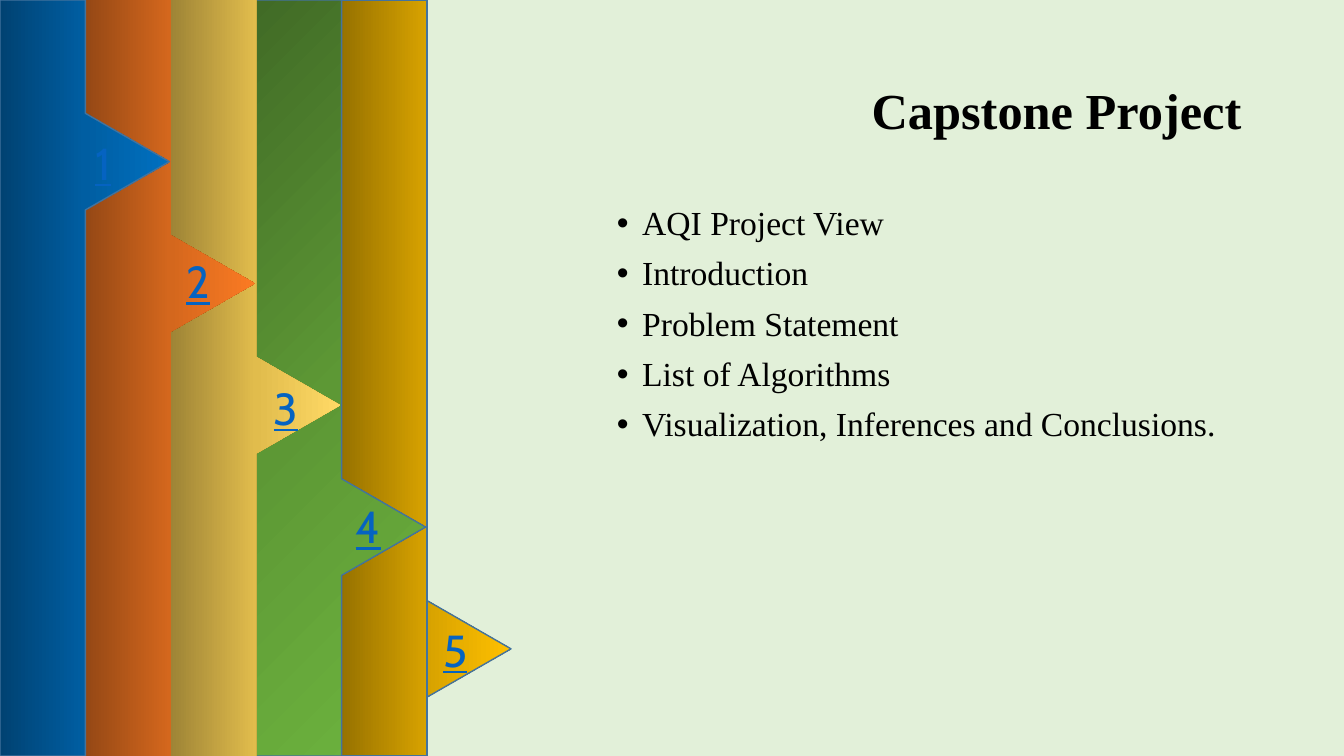
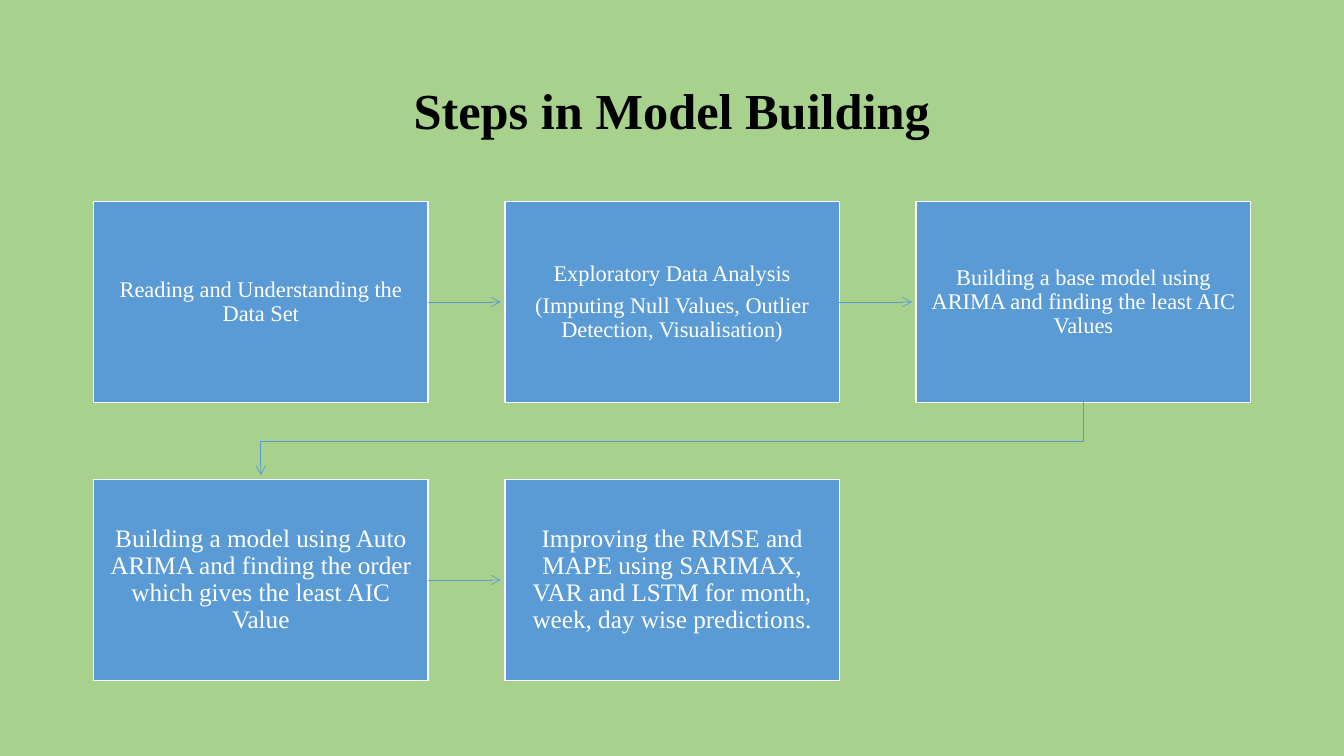
from lxml import etree
from pptx import Presentation
from pptx import util as u
from pptx.dml import color
from pptx.enum import shapes, text
from pptx.oxml import ns

SERIF, DIGIT_FONT = "Times New Roman", "Cabin"
BLACK, WHITE, LINK_BLUE = "000000", "FFFFFF", "0563C1"
BOX_BLUE, OUTLINE = "5B9BD5", "43739E"
ALIGN = text.PP_ALIGN

WIDTH, HEIGHT = 960, 540
BAND_WIDTH, TIP_DEPTH, TIP_HALF = 61, 60, 34.5
FIRST_TIP, TIP_STEP = 115.5, 87

# gradient colours, angle, outline, tip set apart from band, digit position
BANDS = [
    (("004272", "005EA2", "0070C0"), 0, OUTLINE, False, (61, 93.5)),
    (("954815", "D4671D", "FB7A23"), 0, None, True, (126, 178)),
    (("9E8436", "E1BC4C", "FFD966"), 0, None, False, (188.5, 268.5)),
    (("416B26", "5D9835", "6EB53F"), 45, OUTLINE, False, (247, 353)),
    (("977200", "D7A200", "FFC000"), 0, OUTLINE, True, (309.5, 441.5)),
]
TOPICS = ["AQI Project View", "Introduction", "Problem Statement",
          "List of Algorithms", "Visualization, Inferences and Conclusions."]

BOX_WIDTH, BOX_HEIGHT = 239, 143.5
BOX_LEFT, BOX_TOP, COLUMN_STEP, ROW_STEP = 66.8, 144, 293.8, 198.5
ARROW_GAP = 3
STEPS = [
    (16, ["Reading and Understanding the Data Set"]),
    (16, ["Exploratory Data Analysis",
          "(Imputing Null Values, Outlier Detection, Visualisation)"]),
    (16, ["Building a base model using ARIMA and finding the least AIC Values"]),
    (18, ["Building a model using Auto ARIMA and finding the order "
          "which gives the least AIC Value"]),
    (18, ["Improving the RMSE and MAPE using SARIMAX, VAR and LSTM "
          "for month, week, day wise predictions."]),
]


def rgb(value):
    return color.RGBColor.from_string(value)


def points(*values):
    return [u.Pt(value) for value in values]


def add_xml(parent, tag, **attributes):
    return etree.SubElement(parent, ns.qn(tag), attributes)


class Slides:
    """Holds the deck, the current slide and the common style."""

    def __init__(self):
        self.deck = Presentation()
        self.deck.slide_width, self.deck.slide_height = points(WIDTH, HEIGHT)
        self.page = None

    def new_page(self, layout, background, title, align):
        self.page = self.deck.slides.add_slide(self.deck.slide_layouts[layout])
        fill = self.page.background.fill
        fill.solid()
        fill.fore_color.rgb = rgb(background)
        holder = self.page.shapes.title
        self.place(holder, 66, 28.75, 828, 104.5)
        holder.text_frame.vertical_anchor = text.MSO_ANCHOR.MIDDLE
        self.add_text(holder.text_frame, [title], 36, BLACK, align, bold=True)

    def place(self, box, *area):
        box.left, box.top, box.width, box.height = points(*area)

    def add_text(self, frame, lines, size, ink, align=ALIGN.LEFT, font=SERIF,
                 spacing=0.9, before=0, after=0, bold=False, underline=False):
        frame.word_wrap = True
        for index, line in enumerate(lines):
            para = frame.add_paragraph() if index else frame.paragraphs[0]
            para.alignment, para.line_spacing = align, spacing
            para.space_before, para.space_after = points(before, after)
            span = para.add_run()
            span.text = line
            span.font.name, span.font.size = font, u.Pt(size)
            span.font.bold, span.font.underline = bold, underline
            span.font.color.rgb = rgb(ink)

    def bullets(self, lines, *area):
        body = self.page.placeholders[1]
        self.place(body, *area)
        self.add_text(body.text_frame, lines, 24, BLACK, before=10)
        for para in body.text_frame.paragraphs:
            properties = para._p.get_or_add_pPr()
            properties.set("marL", str(u.Pt(18)))
            properties.set("indent", str(u.Pt(-18)))
            add_xml(properties, "a:buFont", typeface="Arial")
            add_xml(properties, "a:buChar", char="•")

    def outline(self, contours, closed=True):
        first, *others = [[points(*corner) for corner in contour]
                          for contour in contours]
        builder = self.page.shapes.build_freeform(*first[0])
        builder.add_line_segments(first[1:], close=closed)
        for contour in others:
            builder.move_to(*contour[0])
            builder.add_line_segments(contour[1:], close=closed)
        shape = builder.convert_to_shape()
        shape.shadow.inherit = False
        return shape

    def gradient(self, shape, colours, angle):
        """Spread the colours evenly; the angle turns clockwise."""
        shape.fill.gradient()
        shape.fill.gradient_angle = -angle % 360
        stops = shape._element.spPr.find(".//" + ns.qn("a:gsLst"))
        for stop in list(stops):
            stops.remove(stop)
        for index, value in enumerate(colours):
            position = 100000 * index // (len(colours) - 1)
            stop = add_xml(stops, "a:gs", pos=str(position))
            add_xml(stop, "a:srgbClr", val=value)

    def band(self, index, colours, angle, line, apart):
        left, right = index * BAND_WIDTH, (index + 1) * BAND_WIDTH
        middle = FIRST_TIP + index * TIP_STEP
        tip = [(right, middle - TIP_HALF), (right + TIP_DEPTH, middle),
               (right, middle + TIP_HALF)]
        start, end = [(left, 0), (right, 0)], [(right, HEIGHT), (left, HEIGHT)]
        contours = [tip, start + end] if apart else [start + tip + end]
        shape = self.outline(contours)
        self.gradient(shape, colours, angle)
        if line:
            self.stroke(shape, line, 1)
        else:
            shape.line.fill.background()

    def digit(self, label, left, top):
        box = self.page.shapes.add_textbox(*points(left, top, 24.5, 46))
        self.add_text(box.text_frame, [label], 32, LINK_BLUE, font=DIGIT_FONT,
                      spacing=1, underline=True)

    def stroke(self, shape, value, width):
        shape.line.color.rgb = rgb(value)
        shape.line.width = u.Pt(width)

    def step(self, column, row, size, lines):
        box = self.page.shapes.add_shape(
            shapes.MSO_SHAPE.RECTANGLE,
            *points(BOX_LEFT + column * COLUMN_STEP, BOX_TOP + row * ROW_STEP,
                    BOX_WIDTH, BOX_HEIGHT))
        box.shadow.inherit = False
        box.fill.solid()
        box.fill.fore_color.rgb = rgb(BOX_BLUE)
        self.stroke(box, WHITE, 1)
        frame = box.text_frame
        frame.vertical_anchor = text.MSO_ANCHOR.MIDDLE
        frame.margin_left = frame.margin_right = u.Pt(size * 0.56)
        frame.margin_top = frame.margin_bottom = u.Pt(size * 0.56)
        self.add_text(frame, lines, size, WHITE, ALIGN.CENTER,
                      after=size * 0.35)
        return box

    def arrow_style(self, shape):
        self.stroke(shape, BOX_BLUE, 0.5)
        line = shape._element.spPr.find(ns.qn("a:ln"))
        add_xml(line, "a:tailEnd", type="arrow")

    def arrow_right(self, source, target):
        """Leave the source's right side and stop just short of the target."""
        middle = source.top + source.height // 2
        arrow = self.page.shapes.add_connector(
            shapes.MSO_CONNECTOR.STRAIGHT, source.left + source.width, middle,
            target.left - u.Pt(ARROW_GAP), middle)
        arrow.begin_connect(source, 3)
        self.arrow_style(arrow)
        add_xml(arrow._element.spPr, "a:effectLst")

    def arrow_to_next_row(self, source, target):
        start, end = [(box.left + box.width / 2) / u.Pt(1)
                      for box in (source, target)]
        top = (source.top + source.height) / u.Pt(1)
        bottom = target.top / u.Pt(1)
        turn = (top + bottom) / 2
        arrow = self.outline([[(start, top), (start, turn), (end, turn),
                               (end, bottom - ARROW_GAP)]], closed=False)
        arrow.fill.background()
        self.arrow_style(arrow)


def main():
    slides = Slides()

    slides.new_page(1, "E2F0D9", "Capstone Project", ALIGN.RIGHT)
    slides.bullets(TOPICS, 433.5, 144, 460.5, 342.5)
    for index, (*style, spot) in reversed(list(enumerate(BANDS))):
        slides.band(index, *style)
        slides.digit(str(index + 1), *spot)

    slides.new_page(5, "A9D18E", "Steps in Model Building", ALIGN.CENTER)
    boxes = [slides.step(index % 3, index // 3, size, lines)
             for index, (size, lines) in enumerate(STEPS)]
    for source, target in zip(boxes, boxes[1:]):
        if source.top == target.top:
            slides.arrow_right(source, target)
        else:
            slides.arrow_to_next_row(source, target)

    slides.deck.save("out.pptx")


if __name__ == "__main__":
    main()
